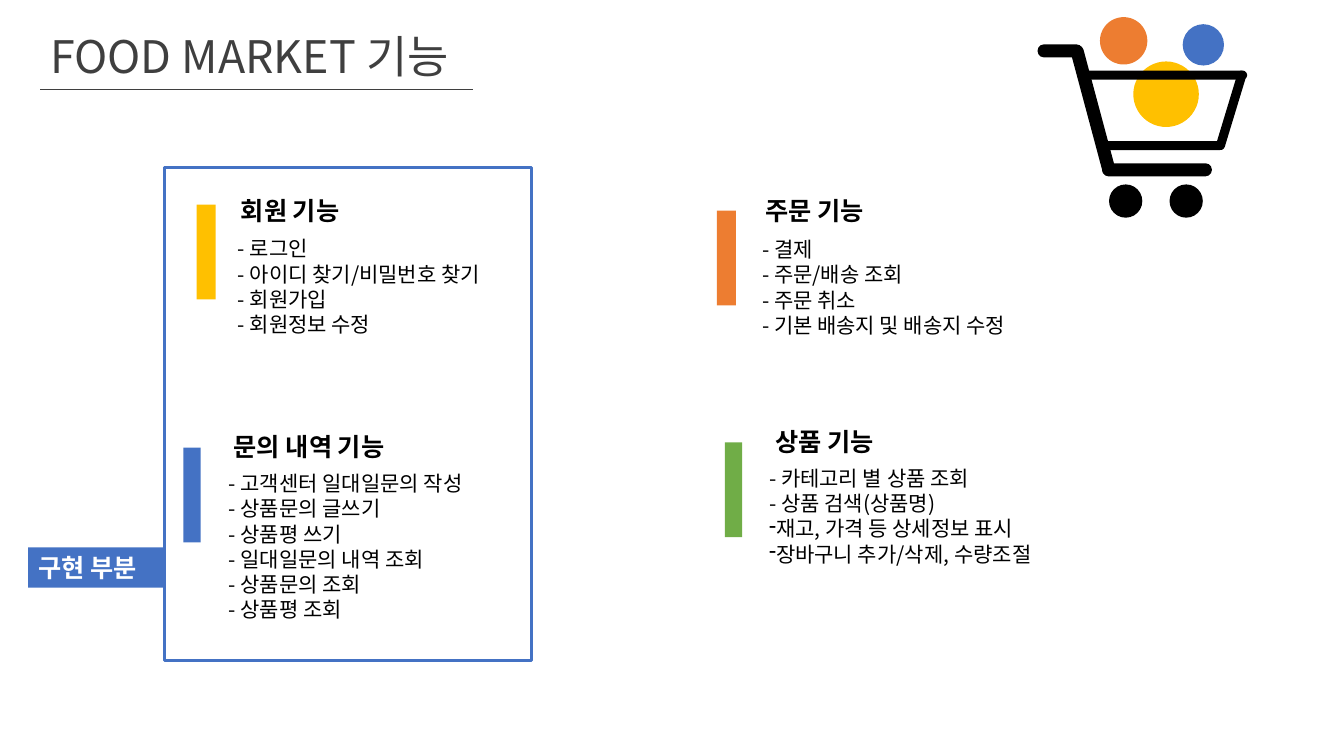
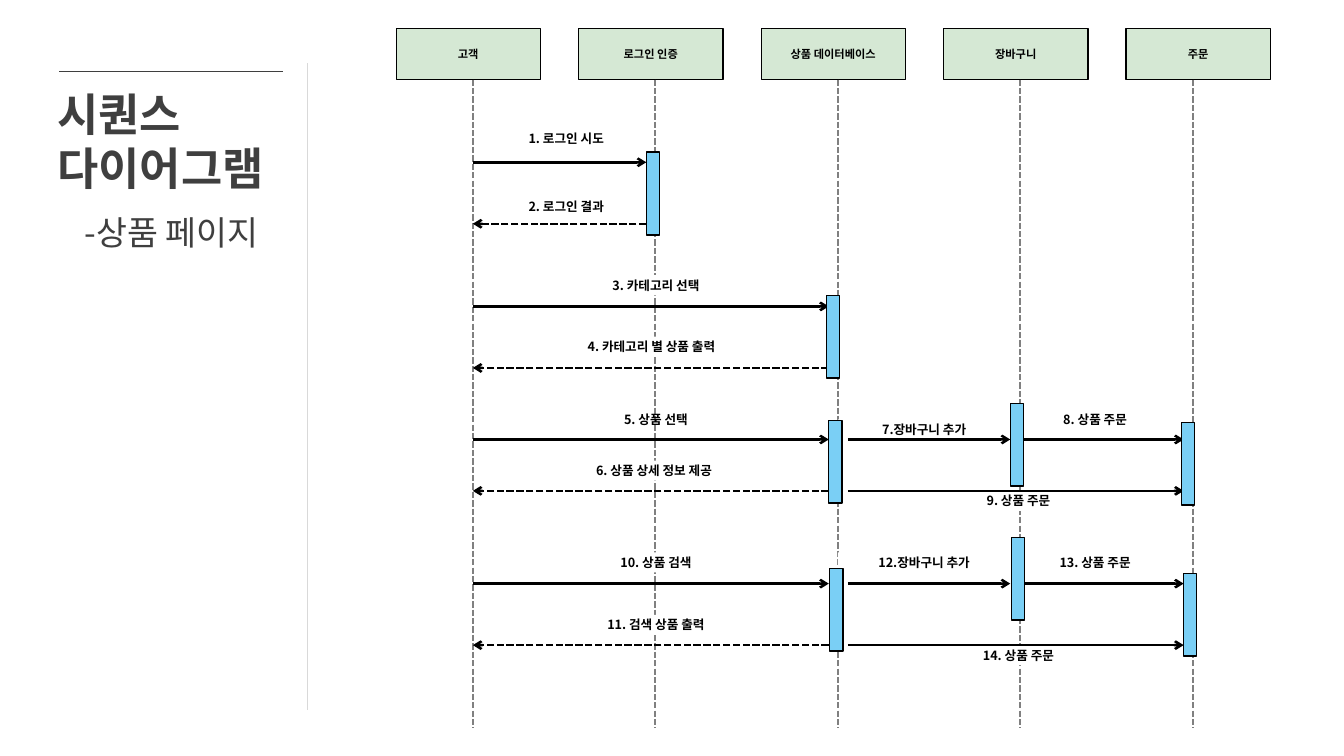
"""Build the food market feature overview and its sequence diagram."""
from dataclasses import dataclass
from typing import NamedTuple

from lxml.etree import SubElement
from pptx import Presentation
from pptx.dml.color import RGBColor
from pptx.enum.dml import MSO_LINE
from pptx.enum.shapes import MSO_CONNECTOR, MSO_SHAPE
from pptx.enum.text import MSO_ANCHOR, PP_ALIGN
from pptx.oxml.ns import qn
from pptx.shapes.autoshape import Shape
from pptx.slide import Slide
from pptx.util import Inches, Pt

FONT = "Noto Sans CJK KR"
LATIN_TITLE_FONT = "Arial"
COLORS = {
    "ink": "3F3F3F", "black": "000000", "white": "FFFFFF", "rule": "D9D9D9",
    "yellow": "FFC000", "blue": "4472C4", "orange": "ED7D31", "green": "70AD47",
    "head": "D5E8D4", "lifeline": "808080", "bar": "7ACFF5",
}


class Frame(NamedTuple):
    left: float
    top: float
    width: float
    height: float


class Part(NamedTuple):
    kind: MSO_SHAPE
    frame: Frame
    color: str
    rotation: float = 0


class Label(NamedTuple):
    text: str
    left: float
    top: float
    width: float = 1.71
    height: float = 0.2
    fill: str | None = "white"


class Message(NamedTuple):
    start: float
    end: float
    top: float


@dataclass(frozen=True)
class Style:
    size: float
    color: str = "black"
    bold: bool = False
    font: str = FONT
    align: PP_ALIGN = PP_ALIGN.LEFT
    anchor: MSO_ANCHOR = MSO_ANCHOR.TOP


@dataclass(frozen=True)
class Feature:
    heading: str
    heading_frame: Frame
    list_frame: Frame
    bar_frame: Frame
    color: str
    items: tuple[str, ...]
    bullets: tuple[str, ...] = ()


TITLE = Style(32, "ink")
SIDE_TITLE = Style(32, "ink", True, LATIN_TITLE_FONT)
SUBTITLE = Style(24, "ink")
HEADING = Style(18, bold=True)
ITEM = Style(15)
TAG = Style(18, "white", True)
HEAD = Style(8, bold=True, align=PP_ALIGN.CENTER, anchor=MSO_ANCHOR.MIDDLE)
LABEL = Style(9, bold=True, align=PP_ALIGN.CENTER, anchor=MSO_ANCHOR.MIDDLE)

FEATURES = (
    Feature("주문 기능", Frame(7.49, 1.89, 2.69, 0.4), Frame(7.46, 2.3, 3.87, 1.36),
            Frame(7.11, 2.09, 0.19, 0.94), "orange",
            ("- 결제", "- 주문/배송 조회", "- 주문 취소", "- 기본 배송지 및 배송지 수정")),
    Feature("상품 기능", Frame(7.59, 4.18, 2.48, 0.4), Frame(7.53, 4.57, 3.13, 1.36),
            Frame(7.19, 4.39, 0.17, 0.94), "green",
            ("- 카테고리 별 상품 조회", "- 상품 검색(상품명)"),
            ("재고, 가격 등 상세정보 표시", "장바구니 추가/삭제, 수량조절")),
    Feature("회원 기능", Frame(2.29, 1.89, 2.69, 0.4), Frame(2.26, 2.29, 2.99, 1.11),
            Frame(1.95, 2.03, 0.19, 0.94), "yellow",
            ("- 로그인", "- 아이디 찾기/비밀번호 찾기", "- 회원가입", "- 회원정보 수정")),
    Feature("문의 내역 기능", Frame(2.22, 4.23, 2.48, 0.4), Frame(2.17, 4.62, 3.07, 1.62),
            Frame(1.82, 4.44, 0.17, 0.94), "blue",
            ("- 고객센터 일대일문의 작성", "- 상품문의 글쓰기", "- 상품평 쓰기",
             "- 일대일문의 내역 조회", "- 상품문의 조회", "- 상품평 조회")),
)

OVAL, PILL = MSO_SHAPE.OVAL, MSO_SHAPE.ROUNDED_RECTANGLE
CART = (
    Part(OVAL, Frame(11.24, 0.61, 0.65, 0.65), "yellow"),
    Part(OVAL, Frame(11.73, 0.24, 0.41, 0.41), "blue"),
    Part(OVAL, Frame(11.6, 1.83, 0.33, 0.33), "black"),
    Part(OVAL, Frame(11, 1.83, 0.33, 0.33), "black"),
    Part(PILL, Frame(10.29, 0.44, 0.45, 0.13), "black"),
    Part(PILL, Frame(10.17, 1.03, 1.34, 0.13), "black", 75),
    Part(PILL, Frame(10.93, 1.62, 1.09, 0.13), "black"),
    Part(PILL, Frame(10.73, 0.7, 1.64, 0.09), "black"),
    Part(PILL, Frame(11.8, 1.05, 0.82, 0.09), "black", 106.9),
    Part(PILL, Frame(10.93, 1.4, 1.21, 0.09), "black"),
    Part(OVAL, Frame(10.91, 0.17, 0.47, 0.47), "orange"),
)

ACTORS = ("고객", "로그인 인증", "상품 데이터베이스", "장바구니", "주문")
ACTOR_LEFT, ACTOR_STEP = 3.93, 1.81
LIFELINES = (4.69, 6.5, 8.31, 10.12, 11.83)
CUSTOMER, LOGIN, DATABASE = 4.69, 6.41, 8.22
DATABASE_OUT, CART_IN, CART_OUT, ORDER = 8.41, 10.02, 10.12, 11.74

LABELS = (
    Label("1. 로그인 시도", 4.79, 1.2, 1.65, 0.34),
    Label("2. 로그인 결과", 4.79, 1.88, 1.65, 0.34),
    Label("3. 카테고리 선택", 5.65, 2.73),
    Label("4. 카테고리 별 상품 출력", 5.46, 3.34, 2),
    Label("5. 상품 선택", 5.65, 4.06, fill=None),
    Label("6. 상품 상세 정보 제공 ", 5.55, 4.57, 1.9),
    Label("7.장바구니 추가", 8.31, 4.16),
    Label("8. 상품 주문 ", 10.02, 4.06),
    Label("9. 상품 주문 ", 9.26, 4.87),
    Label("10. 상품 검색", 5.65, 5.48),
    Label("11. 검색 상품 출력", 5.65, 6.1),
    Label("12.장바구니 추가", 8.31, 5.48),
    Label("13. 상품 주문 ", 10.02, 5.48),
    Label("14. 상품 주문 ", 9.26, 6.4),
)
ROUND_TRIPS = ((LOGIN, 1.61, 2.22), (DATABASE, 3.04, 3.65),
               (DATABASE, 4.36, 4.87), (DATABASE, 5.79, 6.4))
ORDER_ROWS = ((4.36, 4.87), (5.79, 6.4))
BARS = ((6.41, 1.51), (8.2, 2.93), (8.22, 4.17), (8.23, 5.64),
        (11.72, 4.19), (11.74, 5.69), (10.03, 5.33), (10.02, 4))


def rgb(name: str) -> RGBColor:
    return RGBColor.from_string(COLORS[name])


def write(shape: Shape, style: Style, lines: tuple[str, ...],
          bullets: tuple[str, ...] = ()) -> None:
    text_frame = shape.text_frame
    text_frame.word_wrap = True
    text_frame.vertical_anchor = style.anchor
    for index, line in enumerate(lines + bullets):
        para = text_frame.paragraphs[0] if index == 0 else text_frame.add_paragraph()
        para.alignment = style.align
        para.line_spacing = Pt(style.size * 1.2)
        if index >= len(lines):
            SubElement(para._p.get_or_add_pPr(), qn("a:buChar")).set("char", "-")
        for position, piece in enumerate(line.split("\n")):
            if position:
                para.add_line_break()
            span = para.add_run()
            span.text = piece
            span.font.name = style.font
            span.font.size = Pt(style.size)
            span.font.bold = style.bold
            span.font.color.rgb = rgb(style.color)
            SubElement(span._r.get_or_add_rPr(), qn("a:ea")).set("typeface", FONT)


def add_text(page: Slide, frame: Frame, style: Style, lines: tuple[str, ...],
             bullets: tuple[str, ...] = ()) -> None:
    box = page.shapes.add_textbox(*(Inches(length) for length in frame))
    write(box, style, lines, bullets)


def add_block(page: Slide, frame: Frame, fill: str | None, line: str | None = None,
              weight: float = 1, kind: MSO_SHAPE = MSO_SHAPE.RECTANGLE) -> Shape:
    shape = page.shapes.add_shape(kind, *(Inches(length) for length in frame))
    shape.shadow.inherit = False
    if fill:
        shape.fill.solid()
        shape.fill.fore_color.rgb = rgb(fill)
    else:
        shape.fill.background()
    if line:
        shape.line.color.rgb = rgb(line)
        shape.line.width = Pt(weight)
    else:
        shape.line.fill.background()
    return shape


def add_line(page: Slide, start: tuple[float, float], end: tuple[float, float],
             color: str, weight: float, dashed: bool = False, arrow: bool = False) -> None:
    points = (Inches(length) for length in start + end)
    connector = page.shapes.add_connector(MSO_CONNECTOR.STRAIGHT, *points)
    connector.line.color.rgb = rgb(color)
    connector.line.width = Pt(weight)
    if dashed:
        connector.line.dash_style = MSO_LINE.SQUARE_DOT
    properties = connector._element.spPr
    if arrow:
        SubElement(properties.find(qn("a:ln")), qn("a:tailEnd")).set("type", "arrow")
    SubElement(properties, qn("a:effectLst"))


def add_message(page: Slide, message: Message) -> None:
    add_line(page, (message.start, message.top), (message.end, message.top),
             "black", 1.75, dashed=message.end < message.start, arrow=True)


def build_features(page: Slide) -> None:
    add_line(page, (0.4, 0.89), (4.69, 0.89), "ink", 1)
    for part in CART:
        shape = add_block(page, part.frame, part.color, kind=part.kind)
        shape.rotation = part.rotation
        if part.kind == PILL:
            shape.adjustments[0] = 0.5
    add_text(page, Frame(0.4, 0.24, 5.53, 0.64), TITLE, ("FOOD MARKET 기능",))
    for feature in FEATURES:
        add_text(page, feature.heading_frame, HEADING, (feature.heading,))
        add_text(page, feature.list_frame, ITEM, feature.items, feature.bullets)
        add_block(page, feature.bar_frame, feature.color)
    add_block(page, Frame(1.63, 1.66, 3.64, 4.89), None, "blue", 2.25)
    tag = add_block(page, Frame(0.28, 5.43, 1.35, 0.4), "blue")
    write(tag, TAG, ("구현 부분",))


def build_sequence(page: Slide) -> None:
    add_line(page, (0.59, 0.71), (2.81, 0.71), "ink", 1)
    add_line(page, (3.05, 0.63), (3.05, 7.04), "rule", 0.5)
    add_text(page, Frame(0.47, 0.81, 2.45, 1.18), SIDE_TITLE, ("시퀀스\n다이어그램",))
    add_text(page, Frame(0.74, 2.05, 2.16, 0.5), SUBTITLE, ("-상품 페이지",))
    for index, (actor, center) in enumerate(zip(ACTORS, LIFELINES)):
        left = ACTOR_LEFT + index * ACTOR_STEP
        head = add_block(page, Frame(left, 0.28, 1.43, 0.51), "head", "black")
        write(head, HEAD, (actor,))
        add_line(page, (center, 0.79), (center, 7.22), "lifeline", 1.5, dashed=True)
    for label in LABELS:
        frame = Frame(label.left, label.top, label.width, label.height)
        write(add_block(page, frame, label.fill), LABEL, (label.text,))
    for target, request, reply in ROUND_TRIPS:
        add_message(page, Message(CUSTOMER, target, request))
        add_message(page, Message(target, CUSTOMER, reply))
    for via_cart, direct in ORDER_ROWS:
        add_message(page, Message(DATABASE_OUT, CART_IN, via_cart))
        add_message(page, Message(CART_OUT, ORDER, via_cart))
        add_message(page, Message(DATABASE_OUT, ORDER, direct))
    for left, top in BARS:
        add_block(page, Frame(left, top, 0.13, 0.82), "bar", "black")


def main() -> None:
    deck = Presentation()
    deck.slide_width, deck.slide_height = Inches(13.33), Inches(7.5)
    for build in (build_features, build_sequence):
        build(deck.slides.add_slide(deck.slide_layouts[6]))
    deck.save("out.pptx")


if __name__ == "__main__":
    main()
